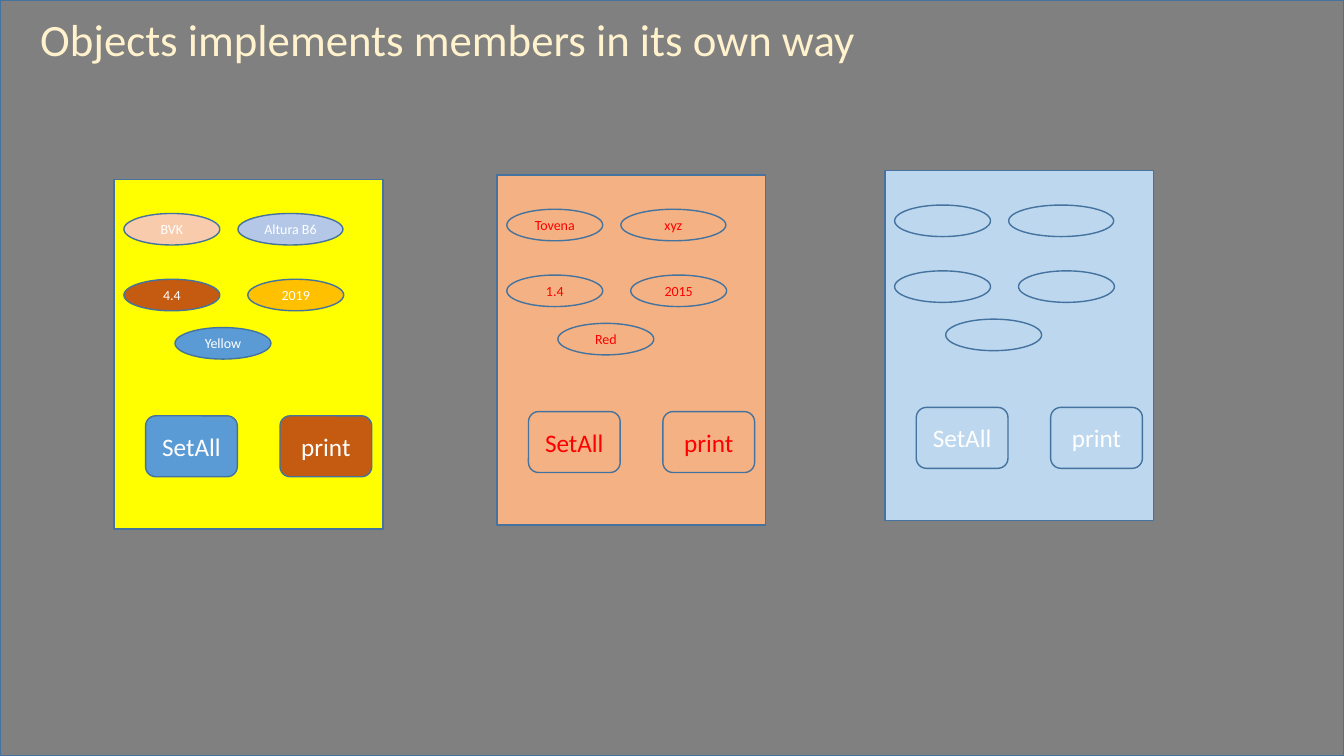
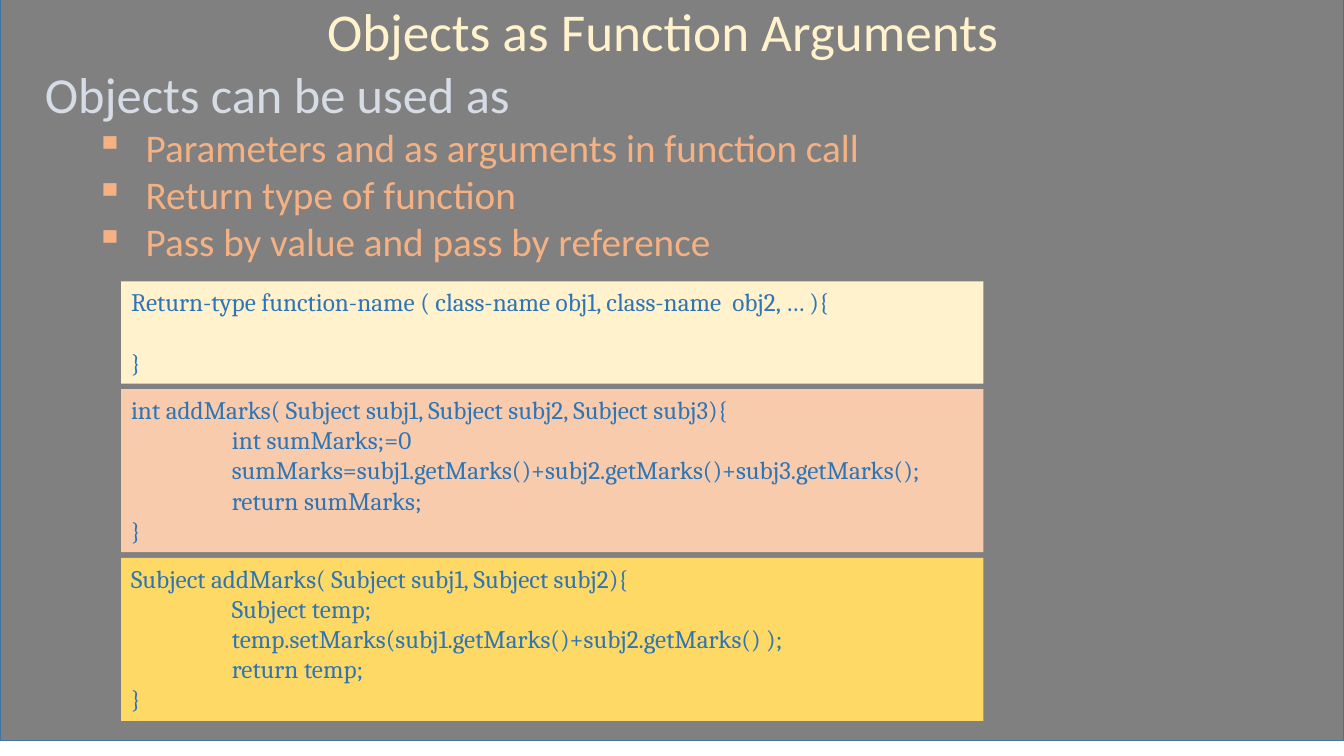
from pptx import Presentation
from pptx.dml.color import RGBColor
from pptx.enum import shapes, text
from pptx.oxml import xmlchemy
from pptx.util import Pt

GREY = RGBColor(0x80, 0x80, 0x80)
OUTLINE = RGBColor(0x43, 0x73, 0x9E)
CREAM = RGBColor(0xFF, 0xF2, 0xCC)
PALE_SLATE = RGBColor(0xD6, 0xDC, 0xE5)
ORANGE = RGBColor(0xF4, 0xB1, 0x83)
PEACH = RGBColor(0xF8, 0xCB, 0xAD)
BROWN = RGBColor(0xC5, 0x5A, 0x11)
BLUE = RGBColor(0x5B, 0x9B, 0xD5)
DEEP_BLUE = RGBColor(0x2E, 0x75, 0xB6)
LAVENDER = RGBColor(0xB4, 0xC7, 0xE7)
PALE_BLUE = RGBColor(0xBD, 0xD7, 0xEE)
AMBER = RGBColor(0xFF, 0xC0, 0x00)
GOLD = RGBColor(0xFF, 0xD9, 0x66)
YELLOW = RGBColor(0xFF, 0xFF, 0x00)
RED = RGBColor(0xFF, 0x00, 0x00)
WHITE = RGBColor(0xFF, 0xFF, 0xFF)

SANS, SERIF = "Calibri", "Cambria"
SLIDE_WIDTH, SLIDE_HEIGHT = 960, 540
CARD_WIDTH, CARD_HEIGHT = 192, 250
FIELD_SPOTS = [
    (7, 24.5, 68.5),
    (88.5, 24.5, 75),
    (7, 71.5, 68.5),
    (95.5, 71.5, 68.5),
    (43.5, 106, 68.5),
]
FIELD_HEIGHT = 22.5
METHOD_SPOTS = [("SetAll", 22.5), ("print", 118.5)]
METHOD_TOP, METHOD_WIDTH, METHOD_HEIGHT = 169, 65.5, 43.5
CODE_LEFT, CODE_WIDTH, CODE_GAP = 86.5, 616, 4
CODE_LINE, CODE_INDENT = 22, 72


def style_font(font, size, color, name=SANS):
    font.name, font.size, font.color.rgb = name, Pt(size), color


def add_panel(parent, preset, left, top, width, height, fill, line=OUTLINE):
    panel = parent.shapes.add_shape(preset, Pt(left), Pt(top), Pt(width), Pt(height))
    panel.shadow.inherit = False
    panel.fill.solid()
    panel.fill.fore_color.rgb = fill
    if line is None:
        panel.line.fill.background()
    else:
        panel.line.color.rgb = line
        panel.line.width = Pt(1)
    return panel


def add_label(panel, words, size, color):
    frame = panel.text_frame
    frame.margin_left = frame.margin_right = 0
    frame.margin_top = frame.margin_bottom = 0
    frame.word_wrap = False
    frame.vertical_anchor = text.MSO_ANCHOR.MIDDLE
    para = frame.paragraphs[0]
    para.text = words
    para.alignment = text.PP_ALIGN.CENTER
    style_font(para.font, size, color)


def add_paragraphs(frame, lines):
    frame.word_wrap = True
    for index, line in enumerate(lines):
        para = frame.paragraphs[0] if index == 0 else frame.add_paragraph()
        para.text = line
        para.alignment = text.PP_ALIGN.LEFT
        yield para


def set_indent(para, left, first=0):
    properties = para._p.get_or_add_pPr()
    properties.set("marL", str(Pt(left)))
    properties.set("indent", str(Pt(first)))
    return properties


def add_titled_slide(deck, title, left, top, width, height, size, align, backdrop_top=0):
    page = deck.slides.add_slide(deck.slide_layouts[5])
    backdrop = add_panel(page, shapes.MSO_SHAPE.RECTANGLE, 0, backdrop_top,
                         SLIDE_WIDTH, SLIDE_HEIGHT, GREY)
    page.shapes.title._element.addprevious(backdrop._element)
    box = page.shapes.title
    box.left, box.top, box.width, box.height = Pt(left), Pt(top), Pt(width), Pt(height)
    frame = box.text_frame
    frame.text = title
    frame.word_wrap = True
    frame.auto_size = text.MSO_AUTO_SIZE.NONE
    frame.vertical_anchor = text.MSO_ANCHOR.TOP
    para = frame.paragraphs[0]
    para.alignment = align
    style_font(para.font, size, CREAM)
    return page


def add_object_card(page, left, top, fill, text_color, values, field_fills, method_fills):
    card = page.shapes.add_group_shape()
    add_panel(card, shapes.MSO_SHAPE.RECTANGLE, left, top, CARD_WIDTH, CARD_HEIGHT, fill)
    for (x, y, width), value, field_fill in zip(FIELD_SPOTS, values, field_fills):
        field = add_panel(card, shapes.MSO_SHAPE.OVAL, left + x, top + y,
                          width, FIELD_HEIGHT, field_fill)
        if value:
            add_label(field, value, 10, text_color)
    for (name, x), method_fill in zip(METHOD_SPOTS, method_fills):
        method = add_panel(card, shapes.MSO_SHAPE.ROUNDED_RECTANGLE, left + x,
                           top + METHOD_TOP, METHOD_WIDTH, METHOD_HEIGHT, method_fill)
        add_label(method, name, 18, text_color)


def add_usage_list(page, heading, items):
    box = page.shapes.add_textbox(Pt(25), Pt(41.5), Pt(897), Pt(154))
    heading_para, *item_paras = add_paragraphs(box.text_frame, [heading, *items])
    style_font(heading_para.font, 36, PALE_SLATE)
    for para in item_paras:
        para.level = 1
        style_font(para.font, 28, ORANGE)
        properties = set_indent(para, 72, -36)
        bullet = xmlchemy.OxmlElement("a:buChar")
        bullet.set("char", "▪")
        properties.insert_element_before(bullet, "a:tabLst", "a:defRPr", "a:extLst")


def add_code_box(page, top, height, fill, opening, body):
    box = add_panel(page, shapes.MSO_SHAPE.RECTANGLE, CODE_LEFT, top,
                    CODE_WIDTH, height, fill, None)
    frame = box.text_frame
    frame.vertical_anchor = text.MSO_ANCHOR.TOP
    paras = list(add_paragraphs(frame, [opening, *body, "}"]))
    for para in paras:
        style_font(para.font, 18, DEEP_BLUE, SERIF)
    for para in paras[1:-1]:
        set_indent(para, CODE_INDENT)
    if not body:
        paras[-1].space_before = Pt(CODE_LINE)


def build_members_slide(deck):
    page = add_titled_slide(deck, "Objects implements members in its own way",
                            21.5, 4.5, 633, 46, 32, text.PP_ALIGN.LEFT)
    add_object_card(page, 81.5, 128, YELLOW, WHITE,
                    ["BVK", "Altura B6", "4.4", "2019", "Yellow"],
                    [PEACH, LAVENDER, BROWN, AMBER, BLUE], [BLUE, BROWN])
    add_object_card(page, 355, 125, ORANGE, RED,
                    ["Tovena", "xyz", "1.4", "2015", "Red"], [ORANGE] * 5, [ORANGE] * 2)
    add_object_card(page, 632, 122, PALE_BLUE, WHITE,
                    [""] * 5, [PALE_BLUE] * 5, [PALE_BLUE] * 2)


def build_arguments_slide(deck):
    page = add_titled_slide(deck, "Objects as Function Arguments",
                            25, -5, 897, 54, 38, text.PP_ALIGN.CENTER, -11)
    add_usage_list(page, "Objects can be used as", [
        "Parameters and as arguments in function call",
        "Return type of function",
        "Pass by value and pass by reference",
    ])
    code_boxes = [
        (73, CREAM, "Return-type function-name ( class-name obj1, class-name  obj2, … ){", []),
        (116.5, PEACH, "int addMarks( Subject subj1, Subject subj2, Subject subj3){", [
            "int sumMarks;=0",
            "sumMarks=subj1.getMarks()+subj2.getMarks()+subj3.getMarks();",
            "return sumMarks;",
        ]),
        (116.5, GOLD, "Subject addMarks( Subject subj1, Subject subj2){", [
            "Subject temp;",
            "temp.setMarks(subj1.getMarks()+subj2.getMarks() );",
            "return temp;",
        ]),
    ]
    top = 201
    for height, fill, opening, body in code_boxes:
        add_code_box(page, top, height, fill, opening, body)
        top += height + CODE_GAP


def main():
    deck = Presentation()
    deck.slide_width, deck.slide_height = Pt(SLIDE_WIDTH), Pt(SLIDE_HEIGHT)
    build_members_slide(deck)
    build_arguments_slide(deck)
    deck.save("out.pptx")


if __name__ == "__main__":
    main()
